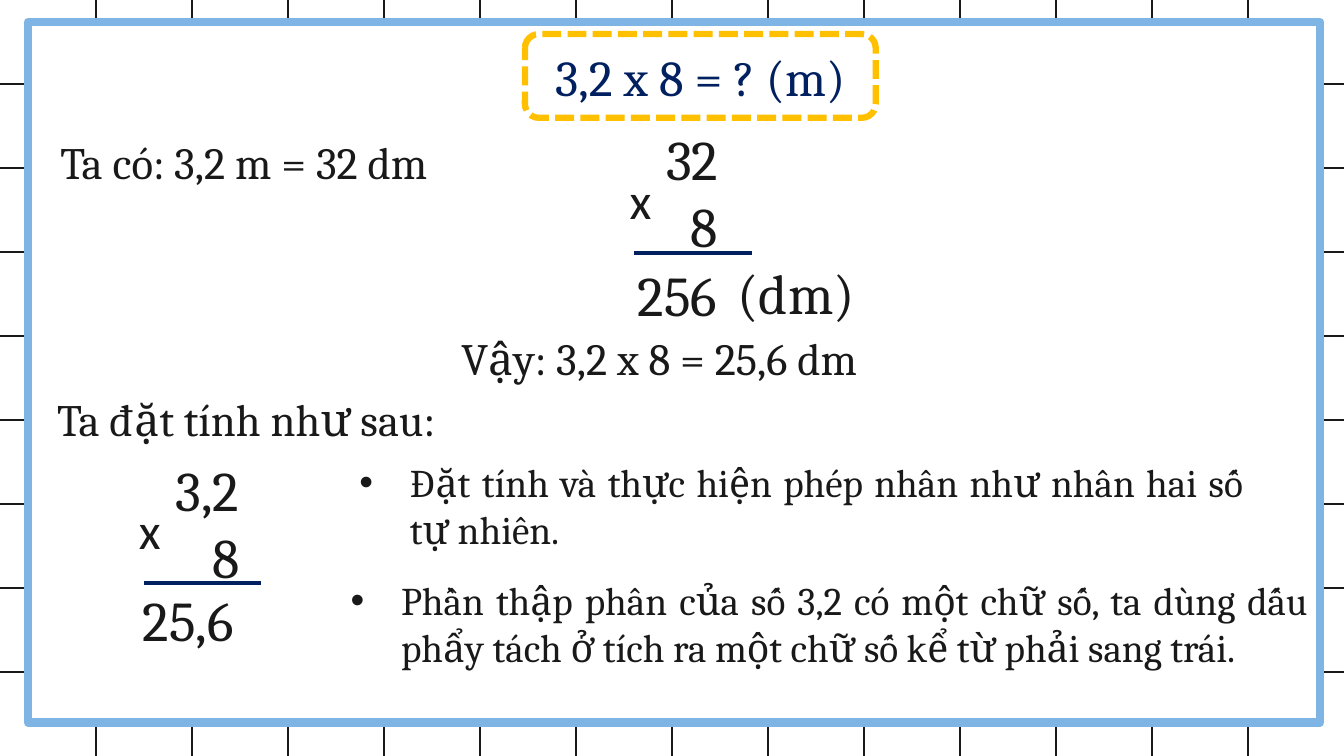
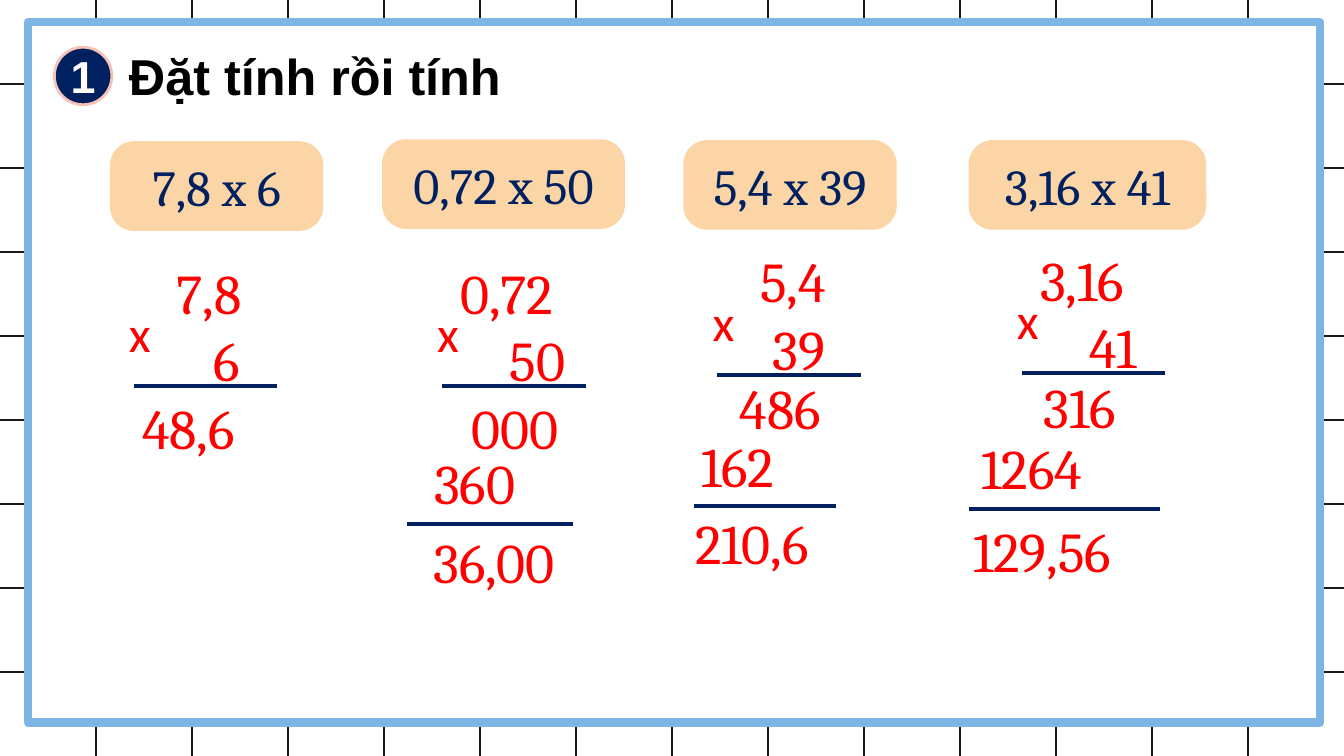
from lxml import etree
from pptx import Presentation
from pptx.dml.color import RGBColor
from pptx.enum.dml import MSO_LINE
from pptx.enum.shapes import MSO_CONNECTOR, MSO_SHAPE
from pptx.enum.text import MSO_ANCHOR, PP_ALIGN
from pptx.oxml.ns import qn
from pptx.util import Cm, Pt

COLORS = {
    "ink": "191919", "black": "000000", "white": "FFFFFF", "navy": "002060",
    "frame": "7FB5E5", "gold": "FFC000", "peach": "FBD5A6", "pink": "F9C1B5",
    "red": "FF0000",
}
COLORS = {name: RGBColor.from_string(value) for name, value in COLORS.items()}
WIDTH, HEIGHT = 33.87, 19.05
COLUMNS, ROWS = 14, 9
SPACE = 0.31  # indent step of the stacked digits


def draw_line(page, start, end, color="navy", weight=3):
    line = page.shapes.add_connector(
        MSO_CONNECTOR.STRAIGHT, *[Cm(value) for value in start + end])
    line.line.color.rgb = COLORS[color]
    line.line.width = Pt(weight)
    etree.SubElement(line._element.spPr, qn("a:effectLst"))


def add_text(page, place, lines, size, color="ink", font="Cambria", bold=False,
             indents=(0, 0), bullet=False, shape=None, fill="white"):
    """Write lines in a text box, or centred in a filled preset shape."""
    place = [Cm(value) for value in place]
    if shape is None:
        box = page.shapes.add_textbox(*place)
    else:
        box = page.shapes.add_shape(shape, *place)
        box.shadow.inherit = False
        box.fill.solid()
        box.fill.fore_color.rgb = COLORS[fill]
        box.line.fill.background()
    frame = box.text_frame
    frame.word_wrap = True
    if shape is not None:
        frame.vertical_anchor = MSO_ANCHOR.MIDDLE
        frame.margin_left = frame.margin_right = 0
        frame.margin_top = frame.margin_bottom = 0
    for number, (text, indent) in enumerate(zip(lines, indents)):
        para = frame.paragraphs[0] if number == 0 else frame.add_paragraph()
        properties = para._p.get_or_add_pPr()
        if bullet:
            properties.set("marL", str(Cm(1.27)))
            properties.set("indent", str(-Cm(1.27)))
            etree.SubElement(properties, qn("a:buFont"), typeface="Arial")
            etree.SubElement(properties, qn("a:buChar"), char="•")
            para.alignment = PP_ALIGN.JUSTIFY
        elif indent:
            properties.set("marL", str(Cm(indent * SPACE)))
        if shape is not None:
            para.alignment = PP_ALIGN.CENTER
        span = para.add_run()
        span.text = text
        span.font.size = Pt(size)
        span.font.name = font
        span.font.bold = bold
        span.font.color.rgb = COLORS[color]
    return box


deck = Presentation()
deck.slide_width, deck.slide_height = Cm(WIDTH), Cm(HEIGHT)
lesson, exercise = [deck.slides.add_slide(deck.slide_layouts[6]) for _ in range(2)]

# Squared paper and framed board on both slides
for page in (lesson, exercise):
    for column in range(1, COLUMNS):
        x = WIDTH * column / COLUMNS
        draw_line(page, (x, 0), (x, HEIGHT), "ink", 1.5)
    for row in range(1, ROWS):
        y = HEIGHT * row / ROWS
        draw_line(page, (0, y), (WIDTH, y), "ink", 1.5)
    board = page.shapes.add_shape(
        MSO_SHAPE.RECTANGLE, Cm(0.71), Cm(0.56), Cm(32.56), Cm(17.65))
    board.shadow.inherit = False
    board.fill.solid()
    board.fill.fore_color.rgb = COLORS["white"]
    board.line.color.rgb = COLORS["frame"]
    board.line.width = Pt(6)

# Lesson: question, statements and rules
question = add_text(lesson, (13.23, 0.86, 8.84, 2.11), ["3,2 x 8 = ? (m)"], 36,
                    "navy", shape=MSO_SHAPE.ROUNDED_RECTANGLE)
question.line.color.rgb = COLORS["gold"]
question.line.width = Pt(4.5)
question.line.dash_style = MSO_LINE.SQUARE_DOT

for left, top, text in [
    (1.27, 3.28, "Ta có: 3,2 m = 32 dm"),
    (11.38, 8.2, "Vậy: 3,2 x 8 = 25,6 dm"),
    (1.19, 9.75, "Ta đặt tính như sau:"),
]:
    add_text(lesson, (left, top, 16.5, 1.63), [text], 32)

for left, top, width, text in [
    (8.81, 11.43, 22.76,
     "Đặt tính và thực hiện phép nhân như nhân hai số tự nhiên."),
    (8.59, 14.4, 24.61,
     "Phần thập phân của số 3,2 có một chữ số, ta dùng dấu phẩy tách ở tích ra "
     "một chữ số kể từ phải sang trái."),
]:
    add_text(lesson, (left, top, width, 2.64), [text], 28, bullet=True)

# Exercise: numbered heading and task cards
badge = add_text(exercise, (1.37, 1.19, 1.45, 1.45), ["1"], 32, "white", "Arial",
                 True, shape=MSO_SHAPE.OVAL, fill="navy")
badge.line.color.rgb = COLORS["pink"]
badge.line.width = Pt(2)
add_text(exercise, (3, 1.02, 11.53, 1.8), ["Đặt tính rồi tính"], 36, "black",
         "Arial", True)

for left, top, width, task in [
    (2.77, 3.56, 5.38, "7,8 x 6"),
    (9.63, 3.51, 6.12, "0,72 x 50"),
    (17.22, 3.53, 5.38, "5,4 x 39"),
    (24.41, 3.53, 5.99, "3,16 x 41"),
]:
    card = add_text(exercise, (left, top, width, 2.26), [task], 36, "navy",
                    shape=MSO_SHAPE.ROUNDED_RECTANGLE, fill="peach")
    card.adjustments[0] = 0.27

# Column multiplications: factors with indents, then the rows below the rule
multiplications = [
    (lesson, 16.54, 3.02, ("32", "8"), (0, 2),
     [(15.82, 6.43, "256"), (18.34, 6.4, "(dm)")]),
    (lesson, 4.17, 11.35, ("3,2", "8"), (0, 3), [(3.35, 14.63, "25,6")]),
    (exercise, 3.58, 6.38, ("7,8", "6"), (2, 5), [(3.33, 9.78, "48,6")]),
    (exercise, 11.35, 6.38, ("0,72", "50"), (0, 4),
     [(11.63, 9.78, "000"), (10.69, 11.18, "360"), (10.67, 13.18, "36,00")]),
    (exercise, 18.29, 6.1, ("5,4", "39"), (2, 3),
     [(18.39, 9.3, "486"), (17.42, 10.74, "162"), (17.27, 12.7, "210,6")]),
    (exercise, 25.96, 6.05, ("3,16", "41"), (0, 4),
     [(26.06, 9.25, "316"), (24.49, 10.8, "1264"), (24.28, 12.88, "129,56")]),
]
for page, left, top, factors, indents, results in multiplications:
    color, sign_gap, length = (
        ("ink", 0.92, 2.96) if page is lesson else ("red", 0.58, 3.62))
    sign_left, rule_top = left - sign_gap, top + 3.35
    add_text(page, (left, top, 3.53, 3.68), factors, 40, color, indents=indents)
    add_text(page, (sign_left, top + 1.11, 2.16, 1.8), ["x"], 36, color, "Calibri")
    rule_left = sign_left + 0.37
    draw_line(page, (rule_left, rule_top), (rule_left + length, rule_top))
    for result_left, result_top, digits in results:
        add_text(page, (result_left, result_top, 5, 1.96), [digits], 40, color)

# Rules above the final products
for left, right, top in [
    (10.26, 14.43, 13.21), (17.48, 21.08, 12.75), (24.41, 29.24, 12.83),
]:
    draw_line(exercise, (left, top), (right, top))

deck.save("out.pptx")
